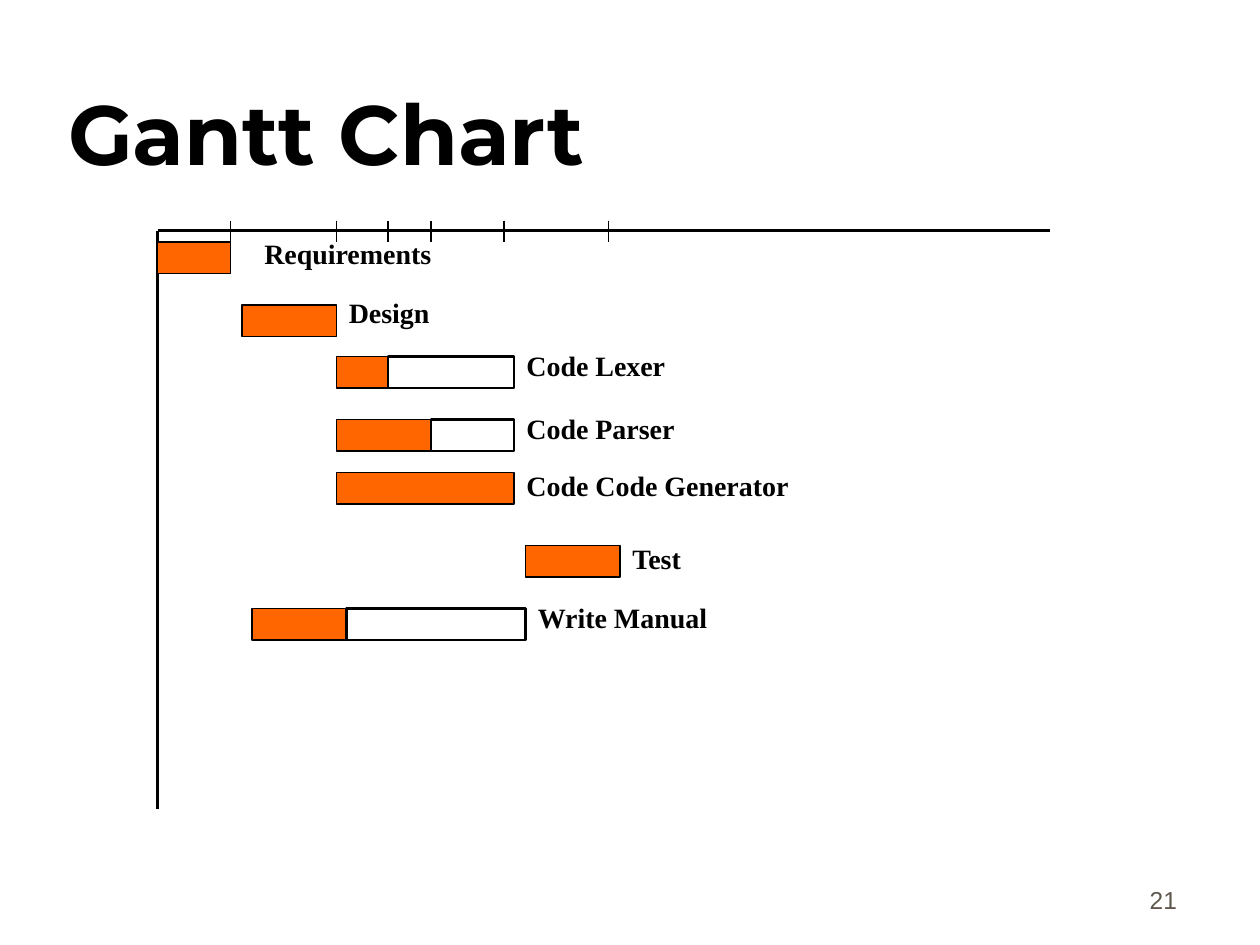
from typing import NamedTuple

from pptx import Presentation
from pptx.dml.color import RGBColor
from pptx.enum.shapes import MSO_CONNECTOR, MSO_SHAPE
from pptx.enum.text import MSO_ANCHOR, PP_ALIGN
from pptx.oxml.ns import qn
from pptx.util import Inches, Pt

BLACK, ORANGE, GREY = "000000", "FF6600", "5E574E"
AXIS_LEFT, AXIS_TOP, AXIS_RIGHT, AXIS_BOTTOM = 1.25, 1.83, 8.33, 6.42
TICKS = (1.83, 2.67, 3.08, 3.42, 4, 4.83)
TICK_TOP, TICK_BOTTOM = 1.75, 1.92
BAR_HEIGHT = 0.25
THIN, THICK = 0.75, 1.5

TITLE_FONT = {"name": "Montserrat", "size": Pt(48), "bold": True}
LABEL_FONT = {"name": "Times New Roman", "size": Pt(16), "bold": True}
NUMBER_FONT = {"name": "Arial", "size": Pt(14), "bold": False}


class Task(NamedTuple):
    """A bar is orange from start to done and hollow from done to end."""
    name: str
    top: float
    start: float
    done: float
    end: float
    label_left: float
    label_top: float
    label_width: float = 2.17


TASKS = (
    Task("Requirements", 1.92, 1.25, 1.83, 1.83, 2, 1.83),
    Task("Design", 2.42, 1.92, 2.67, 2.67, 2.67, 2.3),
    Task("Code Lexer", 2.83, 2.67, 3.08, 4.08, 4.08, 2.72),
    Task("Code Parser", 3.33, 2.67, 3.42, 4.08, 4.08, 3.22),
    Task("Code Code Generator", 3.75, 2.67, 4.08, 4.08, 4.08, 3.67, 2.58),
    Task("Test", 4.33, 4.17, 4.92, 4.92, 4.92, 4.25),
    Task("Write Manual", 4.83, 2, 2.75, 4.17, 4.17, 4.72),
)


def rgb(color: str) -> RGBColor:
    return RGBColor.from_string(color)


def write(shape, text: str, font: dict, color: str = BLACK,
          align=PP_ALIGN.LEFT, anchor=MSO_ANCHOR.TOP) -> None:
    frame = shape.text_frame
    frame.word_wrap = True
    frame.vertical_anchor = anchor
    paragraph = frame.paragraphs[0]
    paragraph.alignment = align
    paragraph.space_before = Pt(0)
    run = paragraph.add_run()
    run.text = text
    for name, value in font.items():
        setattr(run.font, name, value)
    run.font.color.rgb = rgb(color)


def add_text(slide, left: float, top: float, width: float, height: float,
             *content, **layout) -> None:
    box = slide.shapes.add_textbox(
        Inches(left), Inches(top), Inches(width), Inches(height))
    write(box, *content, **layout)


def add_line(slide, x1: float, y1: float, x2: float, y2: float,
             weight: float) -> None:
    line = slide.shapes.add_connector(
        MSO_CONNECTOR.STRAIGHT, Inches(x1), Inches(y1), Inches(x2), Inches(y2))
    line.line.color.rgb = rgb(BLACK)
    line.line.width = Pt(weight)
    properties = line._element.spPr
    properties.append(properties.makeelement(qn("a:effectLst"), {}))


def add_bar(slide, left: float, right: float, top: float, weight: float,
            fill: str | None = None) -> None:
    bar = slide.shapes.add_shape(
        MSO_SHAPE.RECTANGLE, Inches(left), Inches(top),
        Inches(right - left), Inches(BAR_HEIGHT))
    bar.shadow.inherit = False
    if fill:
        bar.fill.solid()
        bar.fill.fore_color.rgb = rgb(fill)
    else:
        bar.fill.background()
    bar.line.color.rgb = rgb(BLACK)
    bar.line.width = Pt(weight)


def add_task(slide, task: Task) -> None:
    add_bar(slide, task.start, task.done, task.top, THIN, ORANGE)
    if task.end > task.done:
        add_bar(slide, task.done, task.end, task.top, THICK)
    add_text(slide, task.label_left, task.label_top, task.label_width, 0.37,
             task.name, LABEL_FONT)


def main() -> None:
    presentation = Presentation()
    presentation.slide_width, presentation.slide_height = Inches(10), Inches(7.5)
    slide = presentation.slides.add_slide(presentation.slide_layouts[5])

    title = slide.shapes.title
    title.left, title.top = Inches(0.44), Inches(0.25)
    title.width, title.height = Inches(8.5), Inches(1.25)
    write(title, "Gantt Chart", TITLE_FONT, anchor=MSO_ANCHOR.BOTTOM)

    add_line(slide, AXIS_LEFT, AXIS_TOP, AXIS_LEFT, AXIS_BOTTOM, THICK)
    add_line(slide, AXIS_LEFT, AXIS_TOP, AXIS_RIGHT, AXIS_TOP, THICK)
    for task in TASKS:
        add_task(slide, task)
    for x in TICKS:
        add_line(slide, x, TICK_TOP, x, TICK_BOTTOM, THIN)

    add_text(slide, 7.36, 6.81, 2.08, 0.5, "21", NUMBER_FONT, GREY,
             align=PP_ALIGN.RIGHT, anchor=MSO_ANCHOR.BOTTOM)
    presentation.save("out.pptx")


if __name__ == "__main__":
    main()
